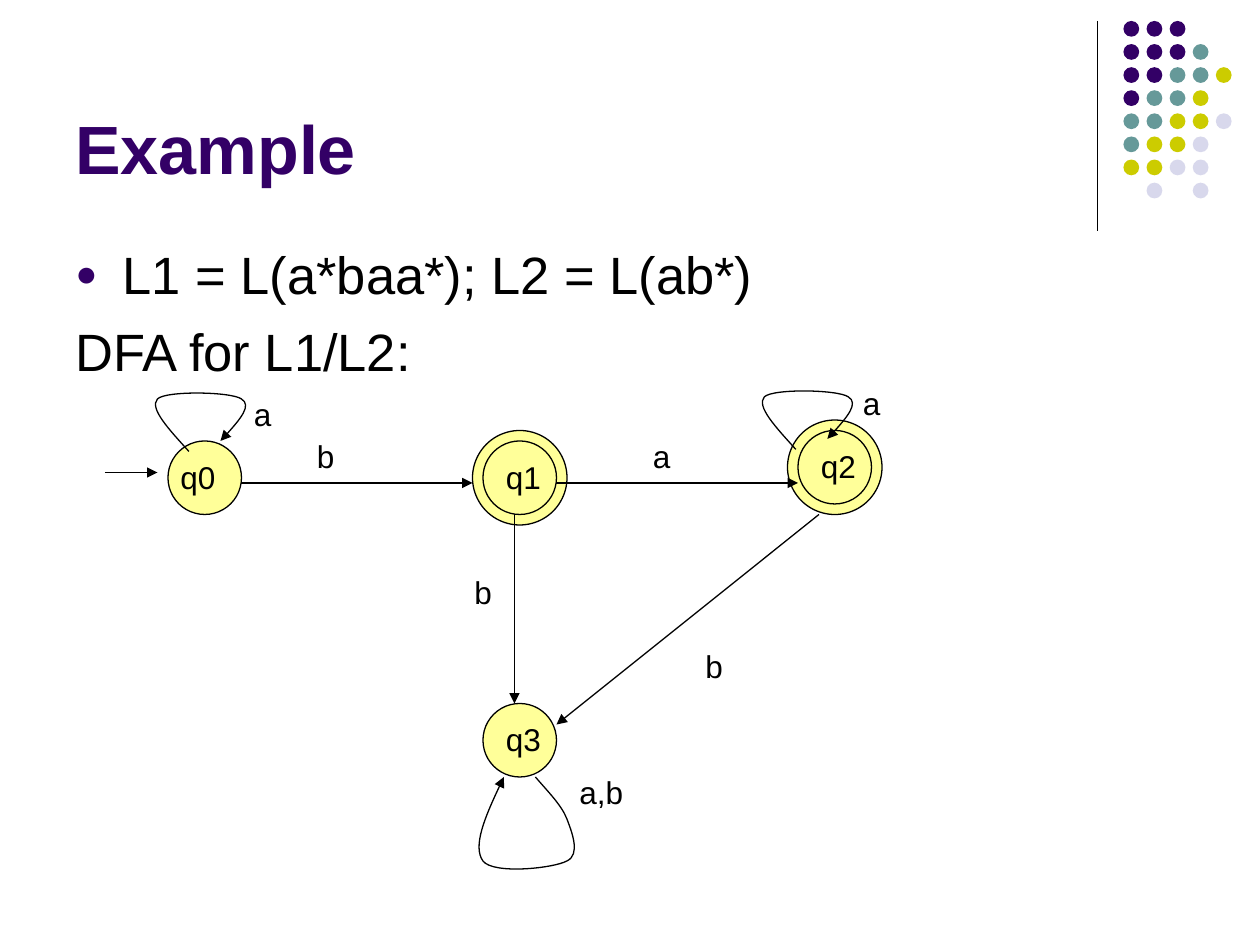
from dataclasses import dataclass
from typing import Any

from lxml import etree
from pptx import Presentation
from pptx.dml.color import RGBColor
from pptx.enum import shapes, text
from pptx.oxml import ns
from pptx.util import Pt

PX = 7620  # EMU per px, 120 px to the inch
INK, PURPLE, TEAL, OLIVE, LILAC = "000000", "330066", "669999", "CCCC00", "D8D8EC"
STATE_FILL = "FFFF99"


def paint(target, color):
    """Colour a fill, or a font's or line's colour, from a hex string."""
    if hasattr(target, "solid"):
        target.solid()
        target = target.fore_color
    else:
        target = target.color
    target.rgb = RGBColor.from_string(color)


def add_tag(parent, tag, **attributes):
    return etree.SubElement(parent, ns.qn(tag), attributes)


@dataclass
class Sketch:
    slide: Any
    font: str = "Arial"
    line_width: float = 0.75

    def outline(self, shape, arrow=False):
        paint(shape.line, INK)
        shape.line.width = Pt(self.line_width)
        if arrow:
            add_tag(shape.line._get_or_add_ln(), "a:tailEnd", type="triangle")

    def circle(self, x, y, size, color, outlined=True):
        dot = self.slide.shapes.add_shape(
            shapes.MSO_SHAPE.OVAL, x * PX, y * PX, size * PX, size * PX)
        dot.shadow.inherit = False
        paint(dot.fill, color)
        if outlined:
            self.outline(dot)
        else:
            dot.line.fill.background()

    def line(self, x1, y1, x2, y2, arrow=True):
        edge = self.slide.shapes.add_connector(
            shapes.MSO_CONNECTOR.STRAIGHT, x1 * PX, y1 * PX, x2 * PX, y2 * PX)
        self.outline(edge, arrow)
        add_tag(edge._element.spPr, "a:effectLst")

    def curve(self, points, dx=0, dy=0):
        """Draw an arrow along cubic curves: a start, then three points each."""
        start, *rest = [(x + dx, y + dy) for x, y in points]
        builder = self.slide.shapes.build_freeform(*start, scale=PX)
        builder.add_line_segments(rest, close=False)
        loop = builder.convert_to_shape()
        loop.shadow.inherit = False
        loop.fill.background()
        self.outline(loop, arrow=True)
        # Each three straight segments become one cubic curve
        segments = list(loop._element.iter(ns.qn("a:lnTo")))
        outline = segments[0].getparent()
        for i in range(0, len(segments), 3):
            cubic = add_tag(outline, "a:cubicBezTo")
            for segment in segments[i:i + 3]:
                cubic.append(segment[0])
                outline.remove(segment)

    def words(self, x, y, width, height, lines, size, before=0, color=INK,
              bold=False, **frame_format):
        frame = self.slide.shapes.add_textbox(
            x * PX, y * PX, width * PX, height * PX).text_frame
        frame.text = "\n".join(lines)
        for name, value in {"word_wrap": True, **frame_format}.items():
            setattr(frame, name, value)
        font_format = {"name": self.font, "size": Pt(size), "bold": bold}
        for paragraph in frame.paragraphs:
            paragraph.space_before = Pt(before)
            font = paragraph.runs[0].font
            for name, value in font_format.items():
                setattr(font, name, value)
            paint(font, color)
        return frame

    def label(self, x, y, width, wording):
        self.words(x, y, width, 48, [wording], 18, before=11.2,
                   auto_size=text.MSO_AUTO_SIZE.SHAPE_TO_FIT_TEXT)

    def bullet(self, paragraph, color):
        props = paragraph._p.get_or_add_pPr()
        add_tag(add_tag(props, "a:buClr"), "a:srgbClr", val=color)
        add_tag(props, "a:buSzPct", val="70000")
        add_tag(props, "a:buFont", typeface=self.font)
        add_tag(props, "a:buChar", char="●")


def main():
    deck = Presentation()
    deck.slide_width, deck.slide_height = 1200 * PX, 900 * PX
    sketch = Sketch(deck.slides.add_slide(deck.slide_layouts[6]))

    # Corner decoration
    sketch.line(1045, 20, 1045, 220, arrow=False)
    dot_colors = {"P": PURPLE, "T": TEAL, "O": OLIVE, "L": LILAC}
    dot_rows = ["PPP", "PPPT", "PPTTO", "PTTO", "TTOOL", "TOOL", "OOLL", "-L-L"]
    for row, codes in enumerate(dot_rows):
        for column, code in enumerate(codes):
            if code in dot_colors:
                sketch.circle(1070 + 22 * column, 20 + 22 * row, 15,
                              dot_colors[code], outlined=False)

    # Title and statement
    sketch.words(60, 15, 990, 170, ["Example"], 39, color=PURPLE, bold=True,
                 vertical_anchor=text.MSO_ANCHOR.BOTTOM)
    statement = sketch.words(
        60, 225, 1080, 578, ["L1 = L(a*baa*); L2 = L(ab*)", "DFA for L1/L2:"],
        30, before=7.5)
    for paragraph in statement.paragraphs:
        props = paragraph._p.get_or_add_pPr()
        props.set("marL", str(45 * PX))
        props.set("indent", str(-45 * PX))
    sketch.bullet(statement.paragraphs[0], PURPLE)

    # States: position, label position, accepting or not
    states = {
        "q0": (160, 420, 160, 430, False),
        "q1": (460, 420, 470, 430, True),
        "q2": (760, 410, 770, 420, True),
        "q3": (460, 670, 470, 680, False),
    }
    for name, (x, y, label_x, label_y, accepting) in states.items():
        if accepting:
            sketch.circle(x - 10, y - 10, 90, STATE_FILL)
        sketch.circle(x, y, 70, STATE_FILL)
        sketch.label(label_x, label_y, 70, name)

    # Start arrow and transitions between states
    for ends in [(100, 450, 150, 450), (230, 460, 450, 460),
                 (530, 460, 760, 460), (490, 490, 490, 670),
                 (780, 490, 530, 690)]:
        sketch.line(*ends)

    # Loops on one state
    upper_loop = [(180, 430), (161, 409), (142, 389), (150, 380), (158, 372),
                  (220, 373), (230, 380), (240, 386), (226, 403), (210, 420)]
    lower_loop = [(510, 740), (522, 754), (535, 767), (540, 780), (545, 793),
                  (553, 814), (540, 820), (527, 827), (470, 833), (460, 820),
                  (450, 806), (464, 773), (480, 740)]
    sketch.curve(upper_loop)
    sketch.curve(upper_loop, dx=578, dy=-2)
    sketch.curve(lower_loop)

    # Input symbols
    for symbol in [(230, 370, 60, "a"), (290, 410, 50, "b"),
                   (610, 410, 60, "a"), (810, 360, 30, "a"),
                   (540, 730, 120, "a,b"), (660, 610, 50, "b"),
                   (440, 540, 50, "b")]:
        sketch.label(*symbol)

    deck.save("out.pptx")


if __name__ == "__main__":
    main()
